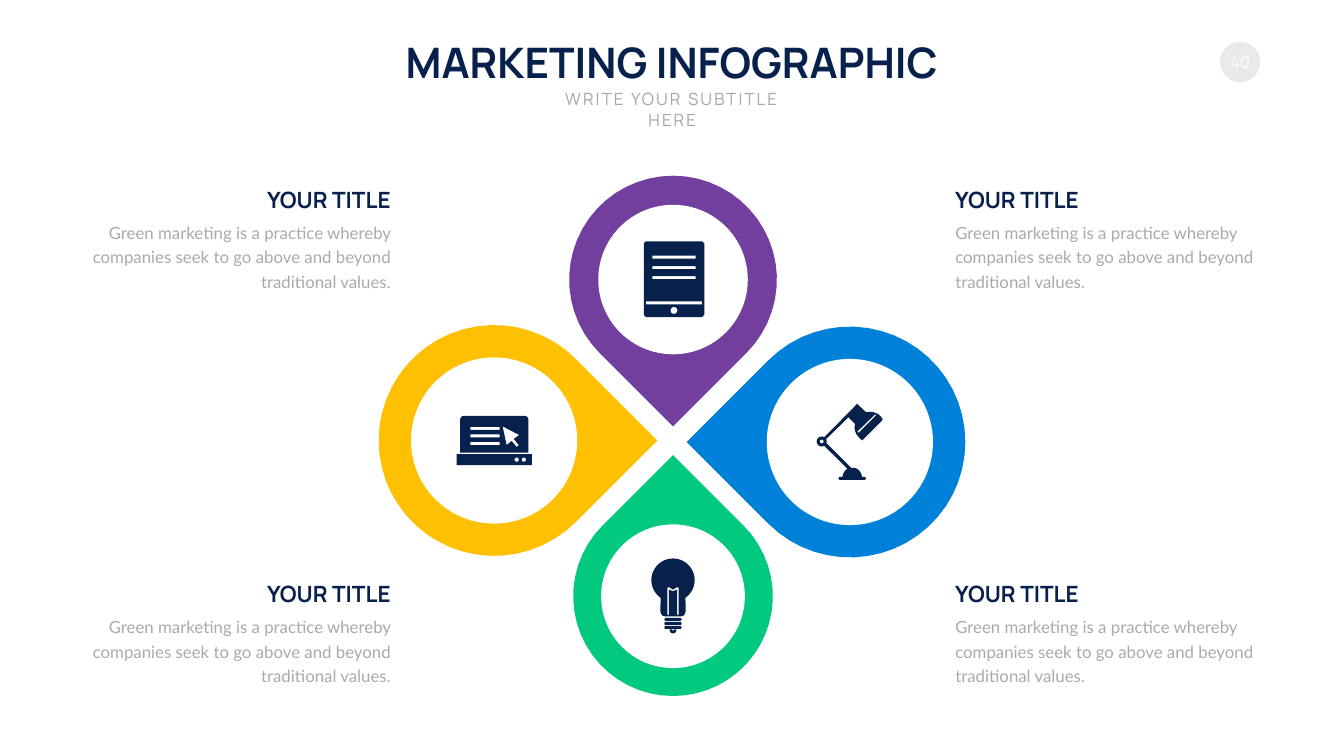
from math import cos, radians, sin, sqrt

from pptx import Presentation
from pptx.dml.color import RGBColor
from pptx.enum import shapes, text
from pptx.util import Emu, Pt

SCALE = 9144  # EMU in one px, 100 px to the inch
HUES = {
    "navy": "08204C", "gold": "FFC001", "plum": "723F9F", "green": "02C980",
    "blue": "0081D9", "white": "FFFFFF", "pale": "E9E9E9", "gray": "A6A6A6",
    "soft": "AAAAAA",
}
OVAL = shapes.MSO_SHAPE.OVAL
LEFT, MID, RIGHT = text.PP_ALIGN.LEFT, text.PP_ALIGN.CENTER, text.PP_ALIGN.RIGHT
TOP, CORE = text.MSO_ANCHOR.TOP, text.MSO_ANCHOR.MIDDLE

# Text styles: font, paragraph and frame values
STYLES = {
    "title": {
        "hue": "navy",
        "font": {"name": "Manrope", "size": Pt(60), "bold": True},
        "para": {"line_spacing": 1.0, "space_before": Pt(0)},
        "frame": {"word_wrap": False, "vertical_anchor": CORE}},
    "sub": {
        "hue": "gray",
        "font": {"name": "Manrope", "size": Pt(24), "bold": False},
        "para": {"line_spacing": 1.0},
        "frame": {"word_wrap": True, "vertical_anchor": TOP}},
    "head": {
        "hue": "navy",
        "font": {"name": "Manrope", "size": Pt(32), "bold": True},
        "para": {"line_spacing": 1.0},
        "frame": {"word_wrap": False, "vertical_anchor": CORE}},
    "body": {
        "hue": "soft",
        "font": {"name": "Lato", "size": Pt(24), "bold": False},
        "para": {"line_spacing": Pt(35), "space_before": Pt(0)},
        "frame": {"word_wrap": True, "vertical_anchor": TOP}},
    "page": {
        "hue": "white",
        "font": {"name": "Manrope", "size": Pt(24), "bold": False},
        "para": {"line_spacing": 1.0},
        "frame": {"word_wrap": False, "vertical_anchor": CORE,
                  "margin_left": 0, "margin_right": 0}},
}


def emu(*vals):
    return [Emu(round(v * SCALE)) for v in vals]


def apply(item, vals):
    for key, val in vals.items():
        setattr(item, key, val)


def place(shape, box):
    apply(shape, dict(zip(("left", "top", "width", "height"), emu(*box))))


def write(shape, words, style, align):
    """Put one styled paragraph in a shape and return its run."""
    form = STYLES[style]
    frame = shape.text_frame
    frame.auto_size = text.MSO_AUTO_SIZE.NONE
    apply(frame, form["frame"])
    para = frame.paragraphs[0]
    apply(para, {**form["para"], "alignment": align})
    run = para.add_run()
    run.text = words
    apply(run.font, form["font"])
    run.font.color.rgb = RGBColor.from_string(HUES[form["hue"]])
    return run


def paint(shape, hue):
    shape.shadow.inherit = False
    shape.fill.solid()
    shape.fill.fore_color.rgb = RGBColor.from_string(HUES[hue])
    shape.line.fill.background()
    return shape


def disc(slide, mid, size, hue):
    x, y = mid
    box = emu(x - size, y - size, 2 * size, 2 * size)
    return paint(slide.shapes.add_shape(OVAL, *box), hue)


def bar(x, y, w, h, cut=0):
    """Corners of a box, with its corners cut off by cut."""
    if not cut:
        return [(x, y), (x + w, y), (x + w, y + h), (x, y + h)]
    return [(x, y + cut), (x + cut, y), (x + w - cut, y), (x + w, y + cut),
            (x + w, y + h - cut), (x + w - cut, y + h), (x + cut, y + h),
            (x, y + h - cut)]


def arc(x, y, size, start, stop, count):
    """Points at count equal steps along a circle."""
    turns = [radians(start + (stop - start) * i / count)
             for i in range(count + 1)]
    return [(x + size * cos(t), y + size * sin(t)) for t in turns]


def outline(slide, at, loops, hue="navy"):
    """Draw loops from the point at as one shape; inner loops are holes."""
    pen = None
    for loop in loops:
        spots = [emu(at[0] + x, at[1] + y) for x, y in loop]
        if pen is None:
            pen = slide.shapes.build_freeform(*spots[0], scale=1.0)
        else:
            pen.move_to(*spots[0])
        pen.add_line_segments(spots[1:], close=True)
    paint(pen.convert_to_shape(), hue)


# Icons, each a list of loops from its top left corner
def laptop():
    lid = [(7, 73), (7, 6), (9, 2), (13, 0), (136, 0), (140, 2), (142, 6),
           (142, 73)]
    arrow = [(91, 21), (99, 58), (109, 50), (119, 62), (123, 58), (113, 46),
             (124, 38)]
    lines = [bar(27, y, 58, 6) for y in (22, 37, 52)]
    lights = [bar(x, 83, 8, 8, 2) for x in (115, 129)]
    return [lid, bar(0, 76, 149, 22), arrow, *lines, *lights]


def tablet():
    lines = [bar(17, y, 86, 6) for y in (28, 49, 69)]
    return [bar(0, 0, 120, 150, 4), *lines, bar(4, 119, 112, 6),
            arc(60, 137, 7, 0, 330, 11)]


def bulb():
    glass = arc(43, 43, 43, 125, 415, 24) + [
        (68, 106), (65, 113), (59, 115), (27, 115), (21, 113), (18, 106)]
    wire = [(35, 57), (32, 58), (32, 112), (35, 112), (35, 62), (43, 65),
            (51, 62), (51, 112), (54, 112), (54, 58), (51, 57), (43, 62)]
    rings = [bar(26, y, 34, 6, 2) for y in (118, 126, 134)]
    knob = [(36, 141), (41, 141), (43, 144), (45, 141), (50, 141), (48, 147),
            (43, 149), (38, 147)]
    return [glass, wire, *rings, knob]


def lamp():
    shade = [(80, 0), (98, 17), (106, 16), (113, 17), (121, 20), (127, 25),
             (131, 31), (130, 33), (90, 73), (85, 68), (79, 61), (76, 54),
             (75, 47), (76, 40), (63, 27)]
    foot = [(19, 70), (20, 75), (19, 78), (68, 127), (78, 128), (84, 132),
            (88, 138), (90, 145), (96, 145), (98, 148), (96, 151), (45, 151),
            (43, 148), (45, 145), (51, 145), (53, 138), (57, 132), (61, 129)]
    joint = arc(10, 75, 10, 60, 300, 10)
    slot = [(116, 21), (81, 55), (83, 58), (118, 23)]
    return [shade + foot + joint + [(72, 9)], slot,
            arc(10, 75, 4, 0, 315, 7)]


def drop(slide, tip, size, turn, hue):
    """Draw a drop of radius size that runs from its tip towards turn degrees."""
    reach = size * sqrt(2)
    mid = (tip[0] + reach * cos(radians(turn)),
           tip[1] + reach * sin(radians(turn)))
    rim = arc(*mid, size, turn - 135, turn + 135, 40)
    outline(slide, (0, 0), [rim + [tip]], hue)
    disc(slide, mid, size * 0.72, "white")


def header(slide, box):
    x, y, w, h = box
    title = slide.shapes.title
    place(title, box)
    write(title, "MARKETING INFOGRAPHIC", "title", MID)
    sub = slide.shapes.add_textbox(*emu(x + 291, y + 105, 543, 50))
    run = write(sub, "WRITE YOUR SUBTITLE HERE", "sub", MID)
    run._r.get_or_add_rPr().set("spc", "300")
    # Page number
    page = disc(slide, (x + 1689, y + 56), 40, "pale")
    write(page, "40", "page", MID)


def note(slide, body, box, align):
    """Place a heading and its text in a corner box."""
    x, y, w, h = box
    place(body, (x, y + 65, w, h - 65))
    write(body, "Green marketing is a practice whereby companies seek to go "
          "above and beyond traditional values.", "body", align)
    props = body.text_frame.paragraphs[0]._p.get_or_add_pPr()
    props.set("marL", "0")
    props.set("indent", "0")
    props.insert_element_before(
        props.makeelement(props.tag.replace("pPr", "buNone"), {}),
        "a:tabLst", "a:defRPr", "a:extLst")
    inset = w - 268 if align == RIGHT else 0
    head = slide.shapes.add_textbox(*emu(x + inset, y, 268, 64))
    write(head, "YOUR TITLE", "head", align)


def main():
    deck = Presentation()
    deck.slide_width, deck.slide_height = emu(2666, 1500)
    slide = deck.slides.add_slide(deck.slide_layouts[4])
    header(slide, (771, 67, 1123, 111))

    # Four drops around the centre
    for tip, size, turn, hue, icon, at in (
            ((1304, 874), 229, 180, "gold", laptop, (906, 825)),
            ((1335, 846), 206, 270, "plum", tablet, (1277, 479)),
            ((1335, 903), 198, 90, "green", bulb, (1292, 1108)),
            ((1362, 877), 229, 0, "blue", lamp, (1620, 801))):
        drop(slide, tip, size, turn, hue)
        outline(slide, at, icon())

    # Four corner notes
    spots = [(x, y, align) for y in (363, 1145)
             for x, align in ((169, RIGHT), (1885, LEFT))]
    for idx, (x, y, align) in enumerate(spots, 1):
        note(slide, slide.placeholders[idx], (x, y, 616, 217), align)
    deck.save("out.pptx")


if __name__ == "__main__":
    main()
